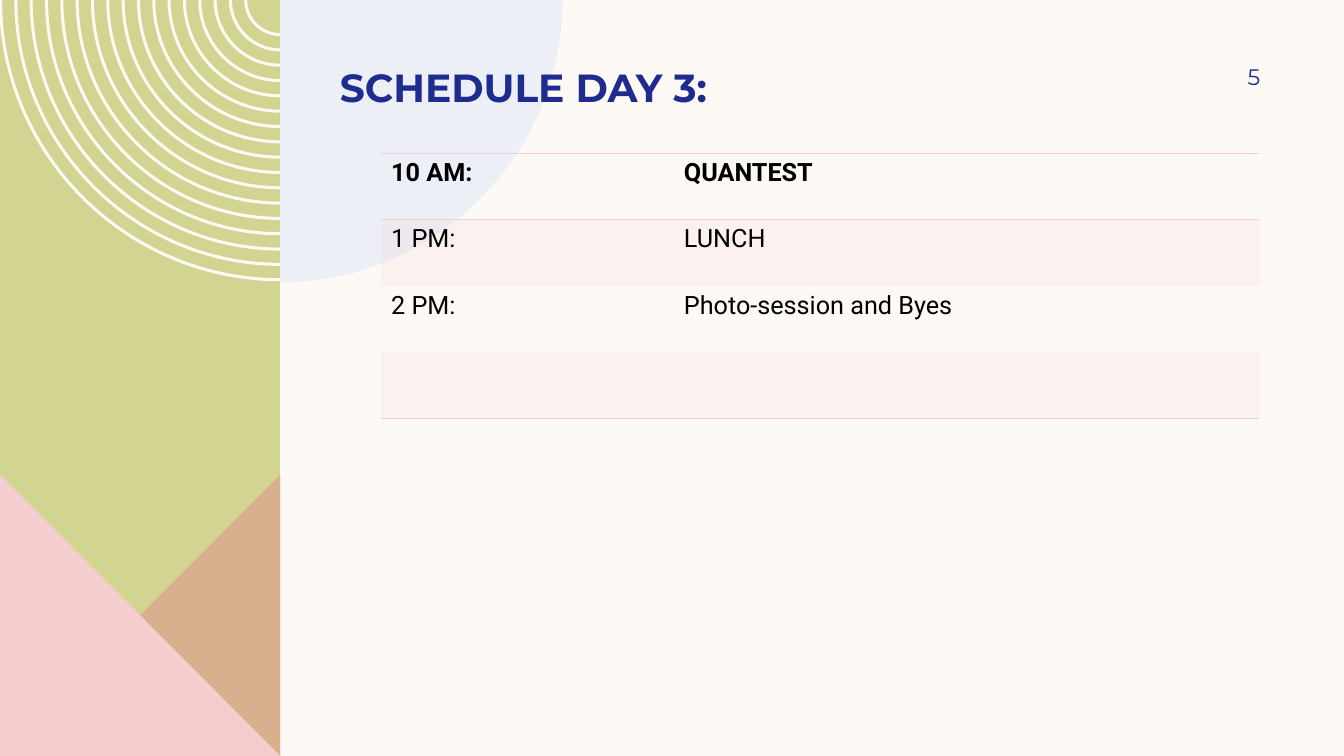
from dataclasses import dataclass

from lxml import etree
from pptx import Presentation
from pptx.dml.color import RGBColor
from pptx.enum import text
from pptx.oxml.ns import qn
from pptx.util import Inches, Pt


@dataclass(frozen=True)
class Theme:
    cream: str = "FDFAF6"
    green: str = "D2D592"
    rose: str = "DE8C8C"
    pink: str = "F5CDCE"
    pale_blue: str = "DDE7F6"
    navy: str = "1F2C8F"
    black: str = "000000"
    heading_font: str = "Montserrat"
    body_font: str = "Roboto"
    title_size: int = 28
    number_size: int = 16
    table_size: int = 18


THEME = Theme()
PANEL_RIGHT = 2.78
SLIDE_HEIGHT = 7.5
TRIANGLE_TOP = 4.71
ARC_HANDLE = 0.55  # length of a quarter circle's curve handle, per radius
NO_TABLE_STYLE = "{2D5ABB26-0587-4C30-8999-92F81FD0307C}"
SCHEDULE = [
    ("10 AM:", "QUANTEST", ""),
    ("1 PM:", "LUNCH", ""),
    ("2 PM:", "Photo-session and Byes", ""),
    ("", "", ""),
]


def paint(fill, properties, color, opacity=100):
    """Fill solidly; properties is the XML element that holds the fill."""
    fill.solid()
    fill.fore_color.rgb = RGBColor.from_string(color)
    if opacity < 100:
        rgb = properties.find(qn("a:solidFill"))[0]
        etree.SubElement(rgb, qn("a:alpha"), val=str(opacity * 1000))


def set_font(p, name, size, color, bold=False):
    p.font.name = name
    p.font.size = Pt(size)
    p.font.bold = bold
    p.font.color.rgb = RGBColor.from_string(color)


def add_outline(slide, contours, color, opacity=100):
    """Draw closed contours, given as lists of points in inches, as one shape."""
    scaled = [[(Inches(x), Inches(y)) for x, y in c] for c in contours]
    builder = slide.shapes.build_freeform(*scaled[0][0])
    for i, points in enumerate(scaled):
        if i:
            builder.move_to(*points[0])
        builder.add_line_segments(points[1:], close=True)
    sp = builder.convert_to_shape()
    sp.shadow.inherit = False
    paint(sp.fill, sp._element.spPr, color, opacity)
    sp.line.fill.background()
    return sp


def quarter_arc(radius, side):
    """Start, two handles and end of an arc from the top edge to the panel edge."""
    steps = [(1, 0), (1, ARC_HANDLE), (ARC_HANDLE, 1), (0, 1)]
    return [(PANEL_RIGHT + side * radius * x, radius * y) for x, y in steps]


def bend(sp):
    """Turn each run of four points in a contour into a curve."""
    for drawn in list(sp._element.iter(qn("a:path"))):
        position = 0
        for step in list(drawn):
            if step.tag == qn("a:moveTo"):
                position = 0
            if step.tag == qn("a:lnTo") and position % 4 == 1:
                step.tag = qn("a:cubicBezTo")
                curve = step
            elif step.tag == qn("a:lnTo") and position % 4 > 1:
                curve.append(step[0])
                drawn.remove(step)
            position += 1


def add_rings(slide, count=17, outer=2.79, pitch=0.152, width=0.03):
    radii = [outer - i * pitch for i in range(count)]
    rings = [quarter_arc(r, -1) + quarter_arc(r - width, -1)[::-1] for r in radii]
    bend(add_outline(slide, rings, THEME.cream))


def add_side_panel(slide):
    top_right, bottom_right = (PANEL_RIGHT, 0), (PANEL_RIGHT, SLIDE_HEIGHT)
    top_left, bottom_left = (0, 0), (0, SLIDE_HEIGHT)
    add_outline(slide, [[top_left, top_right, bottom_right, bottom_left]], THEME.green)
    add_rings(slide)
    add_outline(slide, [[(PANEL_RIGHT, TRIANGLE_TOP), bottom_right, bottom_left]],
                THEME.rose, 50)
    add_outline(slide, [[(0, TRIANGLE_TOP), bottom_right, bottom_left]], THEME.pink)
    bend(add_outline(slide, [quarter_arc(2.8, 1) + [top_right]], THEME.pale_blue, 50))


def place_title(slide, title):
    sp = slide.shapes.title
    sp.left, sp.top, sp.width, sp.height = map(Inches, (3.27, 0, 9.58, 1.1))
    tf = sp.text_frame
    tf.text = title
    tf.auto_size = text.MSO_AUTO_SIZE.NONE
    tf.vertical_anchor = text.MSO_ANCHOR.BOTTOM
    tf.margin_top = tf.margin_bottom = 0
    p = tf.paragraphs[0]
    p.alignment = text.PP_ALIGN.LEFT
    set_font(p, THEME.heading_font, THEME.title_size, THEME.navy, bold=True)


def add_page_number(slide, number):
    box = slide.shapes.add_textbox(*map(Inches, (11.33, 0.5, 1.17, 0.52)))
    tf = box.text_frame
    tf.word_wrap = True
    tf.margin_right = 0
    tf.vertical_anchor = text.MSO_ANCHOR.MIDDLE
    p = tf.paragraphs[0]
    p.text = number
    p.alignment = text.PP_ALIGN.RIGHT
    set_font(p, THEME.heading_font, THEME.number_size, THEME.navy)


def add_border(cell, side):
    tc_pr = cell._tc.get_or_add_tcPr()
    line = etree.SubElement(tc_pr, qn(f"a:{side}"), w=str(Pt(1)))
    fill = etree.SubElement(line, qn("a:solidFill"))
    etree.SubElement(fill, qn("a:srgbClr"), val=THEME.pink)


def add_schedule(slide, rows):
    frame = slide.shapes.add_table(len(rows), len(rows[0]),
                                   *map(Inches, (3.78, 1.52, 8.71, 2.63)))
    table = frame.table
    table.first_row = table.horz_banding = False
    table._tbl.tblPr.find(qn("a:tableStyleId")).text = NO_TABLE_STYLE
    last = len(rows) - 1
    for r, row in enumerate(rows):
        for c, value in enumerate(row):
            cell = table.cell(r, c)
            if r == 0:
                add_border(cell, "lnT")
            if r in (0, last):
                add_border(cell, "lnB")
            if r % 2:
                paint(cell.fill, cell._tc.get_or_add_tcPr(), THEME.pink, 20)
            else:
                cell.fill.background()
            p = cell.text_frame.paragraphs[0]
            if value:
                p.text = value
            set_font(p, THEME.body_font, THEME.table_size, THEME.black, bold=r == 0)


def main():
    prs = Presentation()
    prs.slide_width, prs.slide_height = Inches(13.33), Inches(SLIDE_HEIGHT)
    slide = prs.slides.add_slide(prs.slide_layouts[5])
    background = slide.background.fill
    background.solid()
    background.fore_color.rgb = RGBColor.from_string(THEME.cream)
    add_side_panel(slide)
    place_title(slide, "SCHEDULE DAY 3:")
    add_schedule(slide, SCHEDULE)
    add_page_number(slide, "5")
    # The title placeholder comes first by default; lift it above the artwork.
    slide.shapes._spTree.append(slide.shapes.title._element)
    prs.save("out.pptx")


if __name__ == "__main__":
    main()
